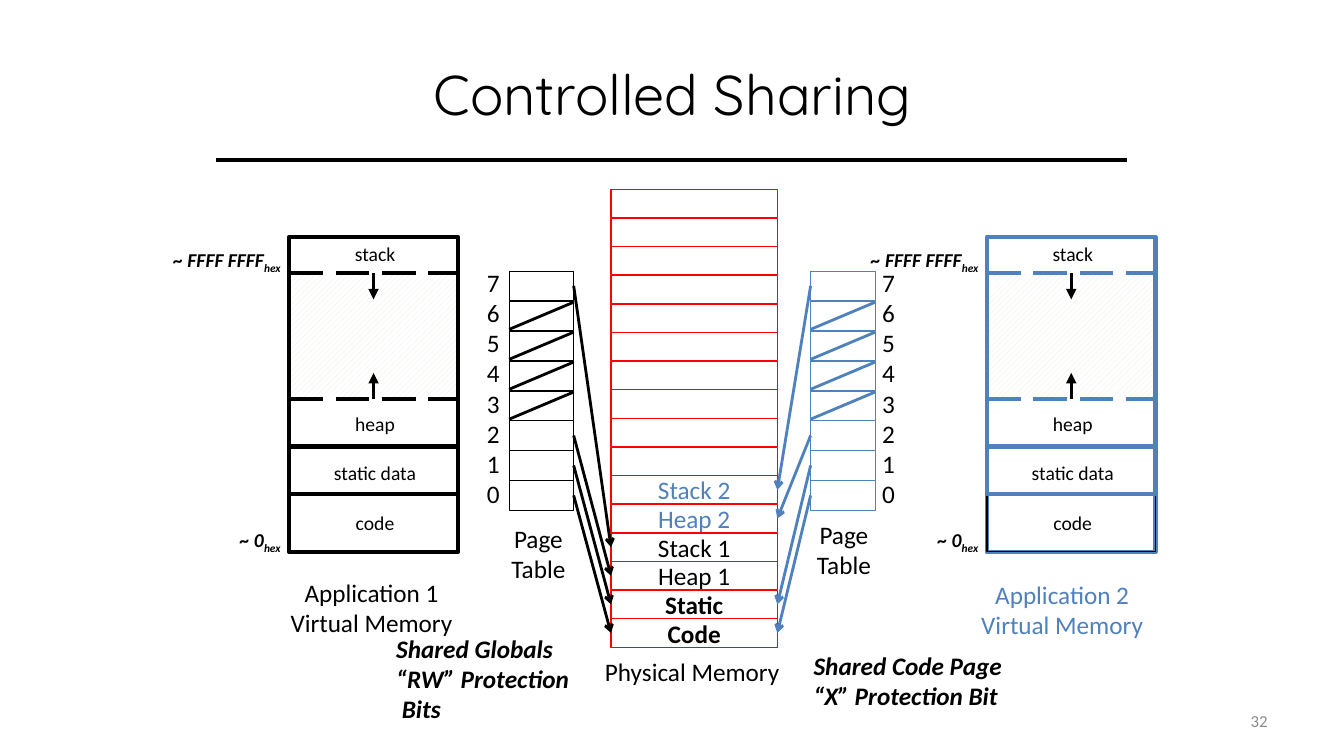
import lxml.etree
import pptx
import pptx.dml.color
import pptx.enum.dml
import pptx.enum.shapes
import pptx.enum.text
import pptx.oxml.ns
import pptx.util

Inches = pptx.util.Inches
RECTANGLE = pptx.enum.shapes.MSO_SHAPE.RECTANGLE
STRAIGHT = pptx.enum.shapes.MSO_CONNECTOR.STRAIGHT
MIDDLE = pptx.enum.text.MSO_ANCHOR.MIDDLE
LEFT = pptx.enum.text.PP_ALIGN.LEFT
CENTER = pptx.enum.text.PP_ALIGN.CENTER
RIGHT = pptx.enum.text.PP_ALIGN.RIGHT
qn = pptx.oxml.ns.qn
color = pptx.dml.color.RGBColor.from_string
BLACK, BLUE, RED, WHITE = "000000", "4F81BD", "FF0000", "FFFFFF"


def outline(item, line_color, width, arrowhead=None):
    """Give a shape or connector a plain line without shadow."""
    item.line.color.rgb = color(line_color)
    item.line.width = pptx.util.Pt(width)
    properties = item._element.spPr
    if arrowhead:
        lxml.etree.SubElement(properties.find(qn("a:ln")), qn("a:tailEnd"), type=arrowhead)
    lxml.etree.SubElement(properties, qn("a:effectLst"))


def write(box, text, size, text_color=BLACK, align=CENTER, bold=False, italic=False, font="Calibri"):
    frame = box.text_frame
    frame.text = text
    for para in frame.paragraphs:
        para.alignment = align
        for span in para.runs:
            span.font.name = font
            span.font.size = pptx.util.Pt(size)
            span.font.color.rgb = color(text_color)
            span.font.bold = bold
            span.font.italic = italic


deck = pptx.Presentation()
deck.slide_width, deck.slide_height = Inches(13.33), Inches(7.5)
page = deck.slides.add_slide(deck.slide_layouts[5])
shapes = page.shapes

title = shapes.title
title.left, title.top, title.width, title.height = Inches(0.67), Inches(0.3), Inches(12), Inches(1.25)
title.text_frame.vertical_anchor = MIDDLE
write(title, "Controlled Sharing", 40, font="Quicksand")
title_rule = shapes.add_connector(STRAIGHT, Inches(2.14), Inches(1.59), Inches(11.18), Inches(1.59))
outline(title_rule, BLACK, 3)

# Virtual memory of both applications
for left, memory_color in ((2.87, BLACK), (9.79, BLUE)):
    gap = shapes.add_shape(RECTANGLE, Inches(left), Inches(2.71), Inches(1.67), Inches(1.25))
    outline(gap, WHITE, 1)
    gap.fill.patterned()
    gap.fill.pattern = pptx.enum.dml.MSO_PATTERN.WIDE_UPWARD_DIAGONAL
    gap.fill.fore_color.rgb = color("EEECE1")
    gap.fill.back_color.rgb = color(WHITE)

    for top, height, edge_color, width in (
        (2.35, 3.13, memory_color, 3),
        (4.9, 0.57, BLACK, 1),
        (4.43, 0.47, memory_color, 3),
    ):
        segment = shapes.add_shape(RECTANGLE, Inches(left), Inches(top), Inches(1.67), Inches(height))
        segment.fill.background()
        outline(segment, edge_color, width)

    for top in (3.96, 2.71):
        border = shapes.add_connector(STRAIGHT, Inches(left), Inches(top), Inches(left + 1.67), Inches(top))
        outline(border, memory_color, 3)
        border.line.dash_style = pptx.enum.dml.MSO_LINE.LONG_DASH

    for name, top in (("code", 5.02), ("static data", 4.52), ("heap", 4.04), ("stack", 2.35)):
        label = shapes.add_textbox(Inches(left + 0.2), Inches(top), Inches(1.3), Inches(0.34))
        label.text_frame.word_wrap = True
        write(label, name, 14)

    for side, start, end in ((2, 3.96, 3.7), (0, 2.71, 2.97)):
        growth = shapes.add_connector(
            STRAIGHT, Inches(left + 0.83), Inches(start), Inches(left + 0.83), Inches(end))
        growth.begin_connect(gap, side)
        growth.end_x = growth.begin_x
        outline(growth, BLACK, 2.5, "triangle")

    for address, offset, top, width in (("~ FFFF FFFF", -1.25, 2.41, 1.29), ("~ 0", -0.59, 5.19, 0.98)):
        label = shapes.add_textbox(Inches(left + offset), Inches(top), Inches(width), Inches(0.34))
        label.text_frame.word_wrap = False
        label.text_frame.text = address
        label.text_frame.paragraphs[0].add_run().text = "hex"
        for span in label.text_frame.paragraphs[0].runs:
            span.font.name = "Calibri"
            span.font.size = pptx.util.Pt(14)
            span.font.bold = span.font.italic = True
            span.font.color.rgb = color(BLACK)
        span._r.get_or_add_rPr().set("baseline", "-25000")

# Physical memory, bottom row first
contents = (
    ("Code", BLACK, True),
    ("Static", BLACK, True),
    ("Heap 1", BLACK, False),
    ("Stack 1", BLACK, False),
    ("Heap 2", BLUE, False),
    ("Stack 2", BLUE, False),
) + (("", BLACK, False),) * 10
frames = []
for row, (name, text_color, bold) in enumerate(contents):
    frame_box = shapes.add_shape(
        RECTANGLE, Inches(6.06), Inches(6.14 - row * 0.284), Inches(1.65), Inches(0.28))
    frame_box.fill.background()
    outline(frame_box, RED, 0.75)
    frame_box.text_frame.margin_top = frame_box.text_frame.margin_bottom = 0
    frame_box.text_frame.vertical_anchor = MIDDLE
    if name:
        write(frame_box, name, 18, text_color, bold=bold)
    frames.append(frame_box)

# Page tables: targets map page number to physical row
for left, table_color, table_side, frame_side, targets in (
    (5.05, BLACK, 3, 1, {0: 0, 1: 1, 2: 2, 7: 3}),
    (8.04, BLUE, 1, 3, {0: 0, 1: 1, 2: 4, 7: 5}),
):
    for number in range(8):
        top = 4.77 - number * 0.297
        entry = shapes.add_shape(RECTANGLE, Inches(left), Inches(top), Inches(0.64), Inches(0.29))
        entry.fill.background()
        outline(entry, table_color, 0.75)
        if number in targets:
            mapping = shapes.add_connector(STRAIGHT, 0, 0, 0, 0)
            mapping.begin_connect(entry, table_side)
            mapping.end_connect(frames[targets[number]], frame_side)
            outline(mapping, table_color, 2, "arrow")
        else:
            slash = shapes.add_connector(
                STRAIGHT, Inches(left), Inches(top + 0.28), Inches(left + 0.64), Inches(top + 0.01))
            outline(slash, table_color, 2)

# Captions
page_numbers = "\n".join(str(number) for number in range(7, -1, -1))
for text, left, top, width, height, text_color, align, strong in (
    (page_numbers, 4.73, 2.6, 0.33, 2.52, BLACK, LEFT, False),
    (page_numbers, 8.65, 2.6, 0.33, 2.52, BLACK, LEFT, False),
    ("Page\vTable", 4.97, 5.14, 0.74, 0.71, BLACK, CENTER, False),
    ("Page\vTable", 8, 5.1, 0.74, 0.71, BLACK, CENTER, False),
    ("Application 1\nVirtual Memory", 2.77, 5.68, 1.83, 0.71, BLACK, CENTER, False),
    ("Application 2\nVirtual Memory", 9.62, 5.7, 1.83, 0.71, BLUE, CENTER, False),
    ("Physical Memory", 5.89, 6.46, 1.95, 0.4, BLACK, CENTER, False),
    ("Shared Code Page\n“X” Protection Bit", 7.97, 6.4, 2.15, 0.71, BLACK, LEFT, True),
    ("Shared Globals\n“RW” Protection\n Bits", 3.83, 6.23, 1.99, 1.01, BLACK, LEFT, True),
):
    caption = shapes.add_textbox(Inches(left), Inches(top), Inches(width), Inches(height))
    caption.text_frame.word_wrap = False
    write(caption, text, 18, text_color, align, bold=strong, italic=strong)

slide_number = shapes.add_textbox(Inches(9.56), Inches(6.95), Inches(3.11), Inches(0.4))
slide_number.text_frame.word_wrap = True
slide_number.text_frame.vertical_anchor = MIDDLE
write(slide_number, "32", 12, "8C8C8C", RIGHT)

deck.save("out.pptx")
